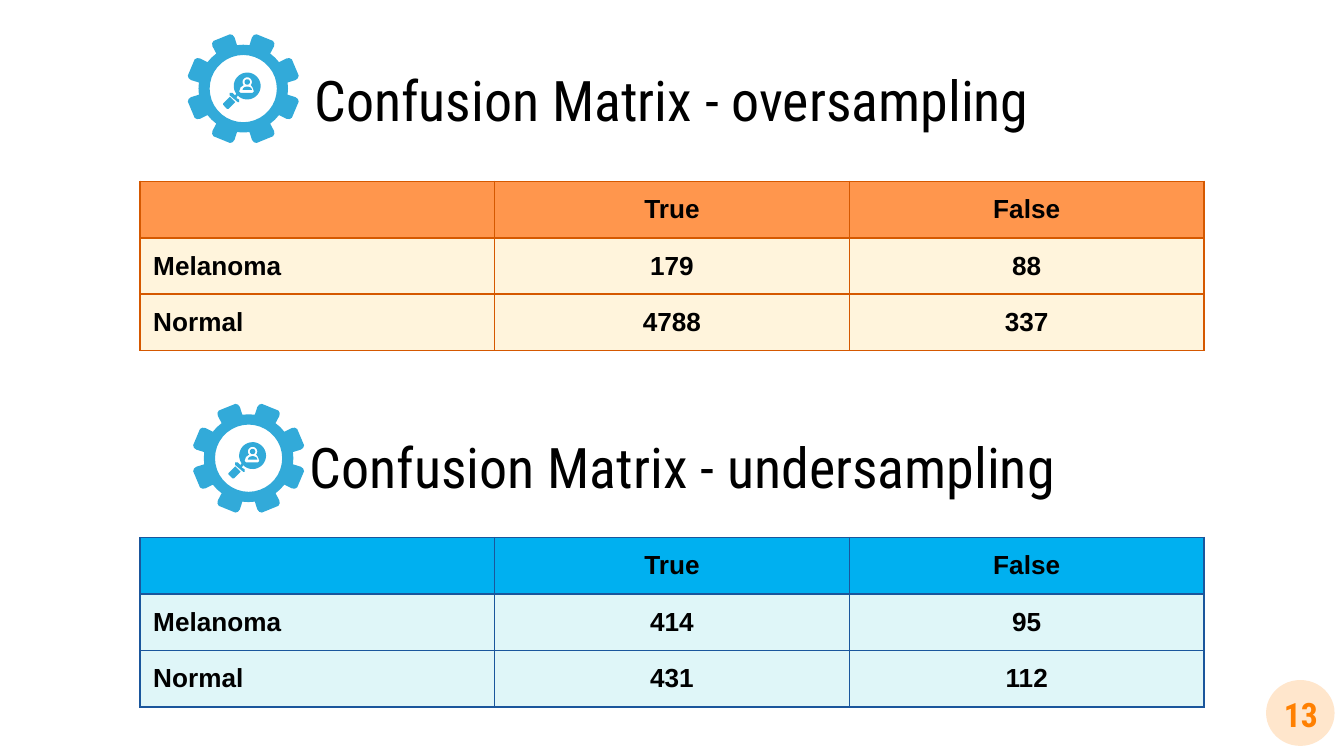
from dataclasses import dataclass
from math import cos, radians, sin

from lxml import etree
from pptx import Presentation
from pptx import util as u
from pptx.dml.color import RGBColor
from pptx.enum import shapes, text
from pptx.oxml import ns


@dataclass(frozen=True)
class Theme:
    ink: str = "000000"
    icon: str = "32AAD9"
    badge: str = "FFE6CC"
    badge_ink: str = "FF8001"
    heading_font: str = "Roboto Condensed"
    table_font: str = "Arial"
    heading_size: int = 30
    table_size: int = 14
    badge_size: int = 18
    border_width: int = 1


THEME = Theme()

# Content: one section per confusion matrix
HEADER = ("", "True", "False")
SECTIONS = [
    dict(title="Confusion Matrix - oversampling", title_at=(0.5, 0.47),
         icon_center=(1.81, 0.66), table_top=1.35,
         rows=[("Melanoma", "179", "88"), ("Normal", "4788", "337")],
         header_fill="FF964D", body_fill="FFF4DC", border="D55800"),
    dict(title="Confusion Matrix - undersampling", title_at=(0.58, 3.2),
         icon_center=(1.85, 3.41), table_top=4.0,
         rows=[("Melanoma", "414", "95"), ("Normal", "431", "112")],
         header_fill="00B0F0", body_fill="DFF6F8", border="1A569C"),
]
PAGE_NUMBER = "13"
PAGE_WIDTH = 10
TABLE_LEFT, COLUMN_WIDTH, ROW_HEIGHT = 1.04, 2.64, 0.42


# Icon outlines, in inches from the icon centre
def arc(x, y, rx, ry, start, end, steps=36):
    angles = [radians(start + (end - start) * i / steps) for i in range(steps + 1)]
    return [(x + rx * cos(a), y + ry * sin(a)) for a in angles]


def gear_outline(teeth=8):
    profile = [(-14.5, 0.33), (-13, 0.39), (-11.5, 0.41), (-9, 0.42),
               (9, 0.42), (11.5, 0.41), (13, 0.39), (14.5, 0.33), (22.5, 0.33)]
    pitch = 360 / teeth
    return [(radius * 1.01 * cos(radians(angle)), radius * 0.99 * sin(radians(angle)))
            for tooth in range(teeth)
            for angle, radius in ((pitch * (tooth + 0.5) + offset, r) for offset, r in profile)]


GEAR = [gear_outline(), arc(0, 0, 0.25, 0.25, 0, 360)]
NECK = [(-0.06, 0.05), (-0.08, 0.03), (-0.1, 0.03), (-0.1, 0.05), (-0.04, 0.1),
        (-0.03, 0.1), (-0.03, 0.08), (-0.05, 0.07), (-0.04, 0.05)]
PERSON = arc(0.03, -0.05, 0.035, 0.035, 140, 400) + [
    (0.07, -0.01), (0.08, 0.02), (0.07, 0.03), (-0.02, 0.03), (-0.03, 0.02), (-0.02, -0.01)]
MAGNIFIER_PARTS = [
    [arc(0.03, -0.05, 0.02, 0.02, 0, 360)],
    [arc(0.03, 0.01, 0.035, 0.025, 180, 360)],
    [arc(0.03, -0.02, 0.1, 0.1, 125, -215) + NECK, PERSON],
    [[(-0.1, 0.06), (-0.15, 0.11), (-0.15, 0.12), (-0.12, 0.15), (-0.11, 0.15), (-0.06, 0.1)]],
]


def paint(shape, color):
    shape.shadow.inherit = False
    shape.fill.solid()
    shape.fill.fore_color.rgb = RGBColor.from_string(color)
    shape.line.fill.background()


def draw_outline(parent, contours, center):
    builder = None
    for contour in contours:
        points = [(u.Inches(center[0] + x), u.Inches(center[1] + y)) for x, y in contour]
        if builder is None:
            builder = parent.build_freeform(*points[0], scale=1.0)
        else:
            builder.move_to(*points[0])
        builder.add_line_segments(points[1:], close=True)
    paint(builder.convert_to_shape(), THEME.icon)


def draw_icon(page, center):
    draw_outline(page.shapes, GEAR, center)
    magnifier = page.shapes.add_group_shape()
    for part in MAGNIFIER_PARTS:
        draw_outline(magnifier.shapes, part, center)


def style_para(para, font, size, color, bold=False, align=text.PP_ALIGN.CENTER):
    para.alignment = align
    para.font.name, para.font.size, para.font.bold = font, u.Pt(size), bold
    para.font.color.rgb = RGBColor.from_string(color)


def write_box(box, words, at, font, size, color, bold=False):
    box.left, box.top, box.width, box.height = map(u.Inches, at)
    frame = box.text_frame
    frame.text = words
    frame.word_wrap = True
    frame.auto_size = text.MSO_AUTO_SIZE.NONE
    frame.vertical_anchor = text.MSO_ANCHOR.MIDDLE
    frame.margin_left = frame.margin_right = u.Inches(0.1)
    frame.margin_top = frame.margin_bottom = u.Inches(0.1)
    style_para(frame.paragraphs[0], font, size, color, bold)


def border_cell(cell, color):
    props = cell._tc.get_or_add_tcPr()
    for index, side in enumerate(("lnL", "lnR", "lnT", "lnB")):
        line = etree.Element(ns.qn(f"a:{side}"), w=str(u.Pt(THEME.border_width)))
        fill = etree.SubElement(line, ns.qn("a:solidFill"))
        etree.SubElement(fill, ns.qn("a:srgbClr"), val=color)
        props.insert(index, line)


def draw_table(page, section):
    rows = [HEADER, *section["rows"]]
    table = page.shapes.add_table(
        len(rows), len(HEADER), u.Inches(TABLE_LEFT), u.Inches(section["table_top"]),
        u.Inches(COLUMN_WIDTH * len(HEADER)), u.Inches(ROW_HEIGHT * len(rows))).table
    table.first_row = table.horz_banding = False
    for r, values in enumerate(rows):
        for c, value in enumerate(values):
            cell = table.cell(r, c)
            cell.text = value
            cell.vertical_anchor = text.MSO_ANCHOR.MIDDLE
            cell.margin_left = cell.margin_right = u.Inches(0.1)
            cell.margin_top = cell.margin_bottom = u.Inches(0.05)
            cell.fill.solid()
            cell.fill.fore_color.rgb = RGBColor.from_string(
                section["body_fill" if r else "header_fill"])
            style_para(cell.text_frame.paragraphs[0], THEME.table_font, THEME.table_size,
                       THEME.ink, True,
                       text.PP_ALIGN.CENTER if c else text.PP_ALIGN.LEFT)
            border_cell(cell, section["border"])


# A 16:9 page
deck = Presentation()
deck.slide_width, deck.slide_height = u.Inches(PAGE_WIDTH), u.Inches(PAGE_WIDTH * 9 / 16)
page = deck.slides.add_slide(deck.slide_layouts[5])

# Sections: heading, icon and table; the first heading is the slide title
for number, section in enumerate(SECTIONS):
    box = page.shapes.add_textbox(0, 0, 0, 0) if number else page.shapes.title
    write_box(box, section["title"], (*section["title_at"], 9, 0.53),
              THEME.heading_font, THEME.heading_size, THEME.ink)
    draw_table(page, section)
    draw_icon(page, section["icon_center"])

# Page number badge
badge = page.shapes.add_shape(shapes.MSO_SHAPE.OVAL, *map(u.Inches, (9.42, 5.06, 0.51, 0.49)))
paint(badge, THEME.badge)
write_box(page.shapes.add_textbox(0, 0, 0, 0), PAGE_NUMBER, (9.36, 5.2, 0.64, 0.22),
          THEME.heading_font, THEME.badge_size, THEME.badge_ink, True)

deck.save("out.pptx")
